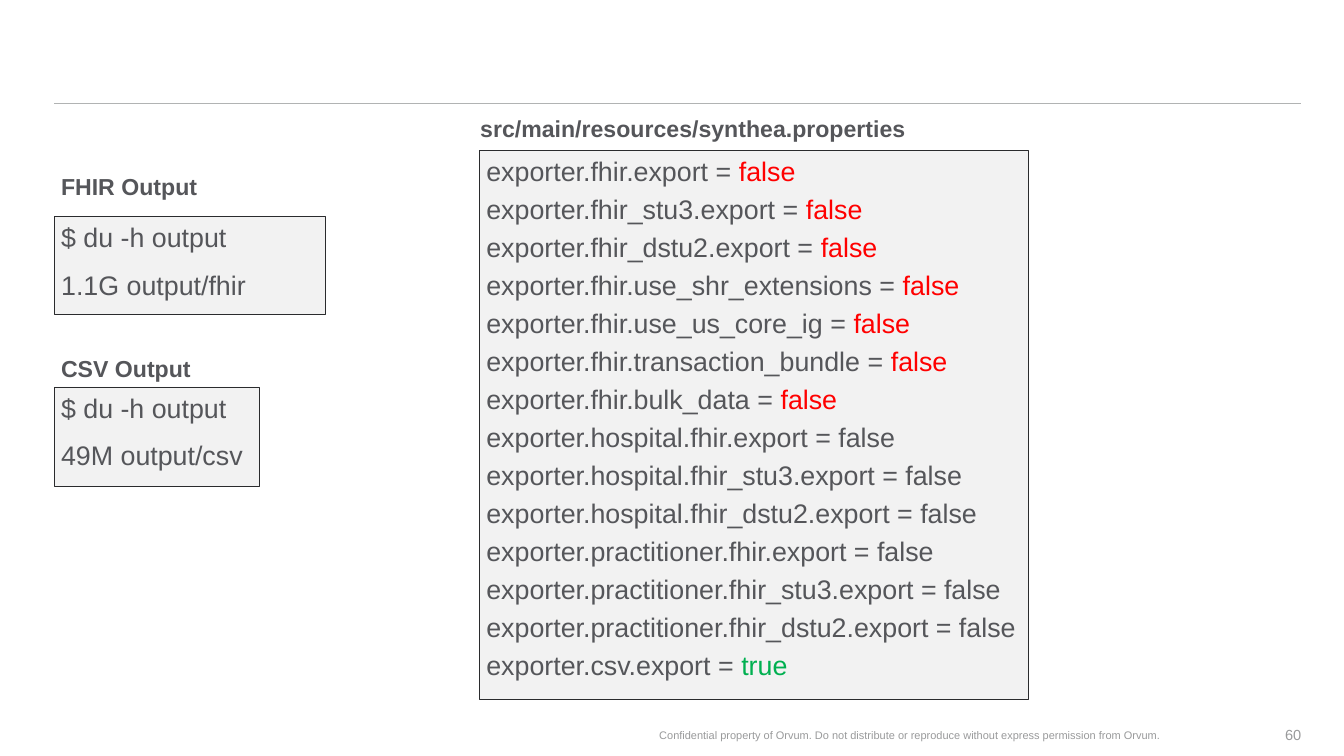
import pptx
import pptx.dml.color
import pptx.enum.shapes
import pptx.enum.text
import pptx.oxml.ns
import pptx.util
from lxml import etree
from pptx.util import Inches

theme = {
    "font": "Arial",
    "text": "55565A",
    "muted": "999A9B",
    "off": "FF0000",
    "on": "00B050",
    "panel": "F2F2F2",
    "border": "2A2B2D",
    "rule": "B1B3B3",
    "code_size": 28.1,
    "heading_size": 24.2,
    "number_size": 15.3,
    "footer_size": 11.5,
}


def color(name):
    return pptx.dml.color.RGBColor.from_string(theme[name])


def add_text(paragraph, text, size="code_size", fill="text", bold=False):
    run = paragraph.add_run()
    run.text = text
    run.font.name = theme["font"]
    run.font.size = pptx.util.Pt(theme[size])
    run.font.bold = bold
    run.font.color.rgb = color(fill)


presentation = pptx.Presentation()
presentation.slide_width = Inches(19.56)
presentation.slide_height = Inches(11)
slide = presentation.slides.add_slide(presentation.slide_layouts[1])
title = slide.shapes.title.element
title.getparent().remove(title)

rule = slide.shapes.add_connector(
    pptx.enum.shapes.MSO_CONNECTOR.STRAIGHT,
    Inches(0.79), Inches(1.5), Inches(18.94), Inches(1.5),
)
rule.line.color.rgb = color("rule")
rule.line.width = pptx.util.Pt(1)
etree.SubElement(rule.element.spPr, pptx.oxml.ns.qn("a:effectLst"))

fhir_output = [[("$ du -h output", "text")], [("1.1G output/fhir", "text")]]
csv_output = [[("$ du -h output", "text")], [("49M output/csv", "text")]]
disabled_now = [
    "fhir.export",
    "fhir_stu3.export",
    "fhir_dstu2.export",
    "fhir.use_shr_extensions",
    "fhir.use_us_core_ig",
    "fhir.transaction_bundle",
    "fhir.bulk_data",
]
disabled_before = [
    f"{group}.{version}.export"
    for group in ("hospital", "practitioner")
    for version in ("fhir", "fhir_stu3", "fhir_dstu2")
]
properties = [[(f"exporter.{name} = ", "text"), ("false", "off")] for name in disabled_now]
properties += [[(f"exporter.{name} = false", "text")] for name in disabled_before]
properties.append([("exporter.csv.export = ", "text"), ("true", "on")])

rectangle = pptx.enum.shapes.MSO_SHAPE.RECTANGLE
panels = [
    (slide.placeholders[1], (0.79, 3.15, 3.95, 1.43), fhir_output, 10.2),
    (slide.shapes.add_shape(rectangle, 0, 0, 0, 0), (6.98, 2.19, 7.98, 7.99), properties, 0),
    (slide.shapes.add_shape(rectangle, 0, 0, 0, 0), (0.79, 5.63, 2.98, 1.44), csv_output, 10.2),
]
for shape, box, lines, space_before in panels:
    shape.left, shape.top, shape.width, shape.height = map(Inches, box)
    shape.fill.solid()
    shape.fill.fore_color.rgb = color("panel")
    shape.line.color.rgb = color("border")
    shape.line.width = pptx.util.Pt(0.75)
    if not shape.is_placeholder:
        shape.shadow.inherit = False
    frame = shape.text_frame
    frame.word_wrap = True
    frame.auto_size = pptx.enum.text.MSO_AUTO_SIZE.NONE
    frame.vertical_anchor = pptx.enum.text.MSO_ANCHOR.TOP
    frame.margin_left = frame.margin_top = Inches(0.1)
    frame.margin_right = frame.margin_bottom = 0
    for index, line in enumerate(lines):
        paragraph = frame.add_paragraph() if index else frame.paragraphs[0]
        properties_element = paragraph._p.get_or_add_pPr()
        properties_element.set("marL", "0")
        properties_element.set("indent", "0")
        etree.SubElement(properties_element, pptx.oxml.ns.qn("a:buNone"))
        paragraph.alignment = pptx.enum.text.PP_ALIGN.LEFT
        paragraph.line_spacing = 0.95
        paragraph.space_before = pptx.util.Pt(space_before if index else 0)
        paragraph.space_after = pptx.util.Pt(7.7)
        for text, fill in line:
            add_text(paragraph, text, fill=fill)

headings = [
    ("FHIR Output", (0.79, 2.46, 2.2, 0.51)),
    ("CSV Output", (0.79, 5.11, 2.1, 0.51)),
    ("src/main/resources/synthea.properties", (6.89, 1.62, 6.45, 0.51)),
]
for text, box in headings:
    frame = slide.shapes.add_textbox(*map(Inches, box)).text_frame
    frame.word_wrap = False
    add_text(frame.paragraphs[0], text, size="heading_size", bold=True)

notice = (
    "Confidential property of Orvum. "
    "Do not distribute or reproduce without express permission from Orvum."
)
alignment = pptx.enum.text.PP_ALIGN
footers = [
    (notice, (8.49, 10.4, 9.5, 0.59), "footer_size", alignment.CENTER),
    ("60", (18.07, 10.4, 0.87, 0.59), "number_size", alignment.RIGHT),
]
for text, box, size, align in footers:
    frame = slide.shapes.add_textbox(*map(Inches, box)).text_frame
    frame.word_wrap = True
    frame.vertical_anchor = pptx.enum.text.MSO_ANCHOR.MIDDLE
    frame.margin_left = frame.margin_top = frame.margin_right = frame.margin_bottom = 0
    frame.paragraphs[0].alignment = align
    add_text(frame.paragraphs[0], text, size=size, fill="muted")

presentation.save("out.pptx")
